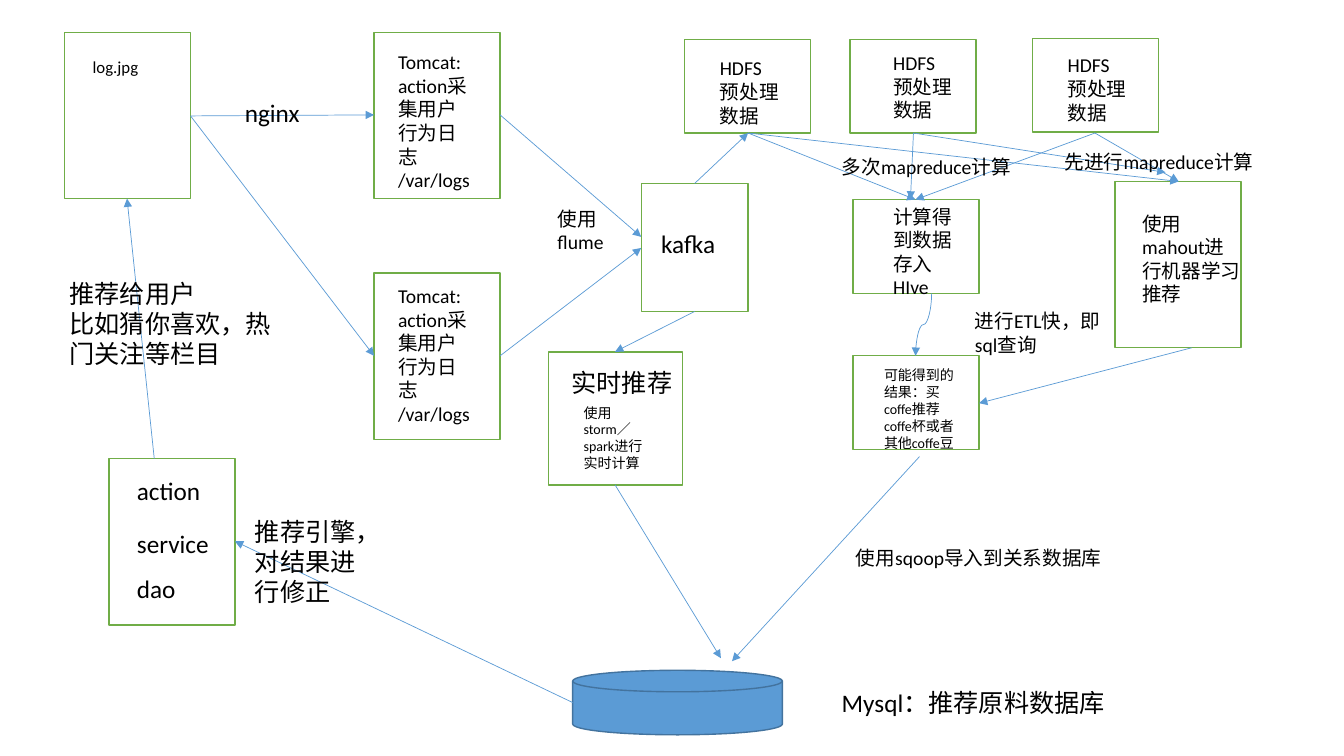
from typing import NamedTuple

from lxml import etree
from pptx import Presentation
from pptx.dml.color import RGBColor
from pptx.enum.shapes import MSO_CONNECTOR, MSO_SHAPE
from pptx.enum.text import MSO_AUTO_SIZE
from pptx.oxml.ns import qn
from pptx.util import Inches, Pt

RECT = MSO_SHAPE.RECTANGLE
DISK = MSO_SHAPE.FLOWCHART_MAGNETIC_DISK
STRAIGHT = MSO_CONNECTOR.STRAIGHT
CURVE = MSO_CONNECTOR.CURVE
FIT_SHAPE = MSO_AUTO_SIZE.SHAPE_TO_FIT_TEXT

WHITE, BLACK, GREEN, BLUE, DARK_BLUE = "FFFFFF", "000000", "70AD47", "5B9BD5", "43739E"
FONT = "Calibri"


class Box(NamedTuple):
    x: float
    y: float
    w: float = 1.25
    h: float = 1.65
    fill: str = WHITE
    line: str = GREEN
    shape: int = RECT


class Label(NamedTuple):
    x: float
    y: float
    w: float
    h: float
    text: str
    size: int = 14


class Arrow(NamedTuple):
    x1: float
    y1: float
    x2: float
    y2: float
    kind: int = STRAIGHT
    rotation: int = 0


TOMCAT = "Tomcat:\naction采集用户行为日志\n/var/logs"
HDFS = "HDFS\n预处理数据"
HDFS_H = 0.93

BOXES = [
    Box(0.64, 0.32),
    Box(3.71, 0.32),
    Box(3.71, 2.71),
    Box(6.79, 0.39, h=HDFS_H),
    Box(8.43, 0.39, h=HDFS_H),
    Box(10.24, 0.38, h=HDFS_H),
    Box(8.46, 1.98, h=HDFS_H),
    Box(8.46, 3.53, h=HDFS_H),
    Box(5.44, 3.49, 1.33, 1.32),
    Box(1.08, 4.55),
    Box(11.06, 1.8),
    Box(6.36, 1.82, 1.06, 1.27),
    Box(5.68, 6.65, 2.08, 0.64, BLUE, DARK_BLUE, DISK),
]

LABELS = [
    Label(0.82, 0.51, 0.89, 0.3, "log.jpg", 12),
    Label(3.85, 0.45, 0.97, 1.51, TOMCAT),
    Label(3.85, 2.77, 0.97, 1.51, TOMCAT),
    Label(2.33, 0.92, 0.93, 0.4, "nginx", 18),
    Label(5.43, 2, 0.82, 0.57, "使用flume"),
    Label(7.04, 0.51, 0.81, 0.81, HDFS),
    Label(8.76, 0.46, 0.81, 0.81, HDFS),
    Label(10.49, 0.48, 0.81, 0.81, HDFS),
    Label(8.76, 1.98, 0.81, 1.04, "计算得到数据存入HIve"),
    Label(8.25, 1.49, 1.99, 0.34, "多次mapreduce计算"),
    Label(8.67, 3.59, 0.9, 0.94, "可能得到的结果：买coffe推荐coffe杯或者其他coffe豆", 10),
    Label(9.57, 3.02, 1.49, 0.57, "进行ETL快，即sql查询"),
    Label(8.25, 6.77, 3.04, 0.4, "Mysql：推荐原料数据库", 18),
    Label(8.39, 5.37, 3.17, 0.34, "使用sqoop导入到关系数据库"),
    Label(5.69, 3.96, 0.79, 0.77, "使用storm／spark进行实时计算", 10),
    Label(5.57, 3.59, 1.37, 0.4, "实时推荐", 18),
    Label(1.26, 4.67, 1.07, 0.4, "action", 18),
    Label(1.26, 5.19, 1.07, 0.4, "service", 18),
    Label(1.26, 5.64, 1.07, 0.4, "dao", 18),
    Label(2.43, 5.07, 1.28, 1.01, "推荐引擎，对结果进行修正", 18),
    Label(0.59, 2.71, 2.26, 1.01, "推荐给用户\n比如猜你喜欢，热门关注等栏目", 18),
    Label(11.23, 2.05, 1.18, 1.04, "使用mahout进行机器学习推荐"),
    Label(10.46, 1.44, 2.19, 0.34, "先进行mapreduce计算"),
    Label(6.46, 2.22, 0.86, 0.4, "kafka", 18),
]

ARROWS = [
    Arrow(1.89, 1.15, 3.71, 1.14),
    Arrow(1.89, 1.15, 3.71, 3.53),
    Arrow(4.96, 1.14, 6.36, 2.35),
    Arrow(4.96, 3.53, 6.36, 2.46),
    Arrow(6.89, 1.82, 7.42, 1.32),
    Arrow(6.89, 3.09, 6.1, 3.49),
    Arrow(7.42, 1.32, 9.08, 1.98),
    Arrow(9.06, 1.32, 9.03, 1.98),
    Arrow(10.86, 1.32, 9.08, 1.98),
    Arrow(7.42, 1.32, 11.69, 1.8),
    Arrow(9.06, 1.32, 11.56, 1.71),
    Arrow(10.86, 1.32, 11.69, 1.8),
    Arrow(8.85, 3.14, 9.47, 3.3, CURVE, 90),
    Arrow(11.82, 3.45, 9.71, 4),
    Arrow(9.12, 4.53, 7.26, 6.56),
    Arrow(6.1, 4.81, 7.15, 6.53),
    Arrow(5.68, 6.97, 2.33, 5.37),
    Arrow(1.53, 4.55, 1.26, 1.97),
]


def rgb(color: str) -> RGBColor:
    return RGBColor.from_string(color)


def add_box(slide, box: Box) -> None:
    sp = slide.shapes.add_shape(
        box.shape, Inches(box.x), Inches(box.y), Inches(box.w), Inches(box.h))
    sp.shadow.inherit = False
    sp.fill.solid()
    sp.fill.fore_color.rgb = rgb(box.fill)
    sp.line.color.rgb = rgb(box.line)
    sp.line.width = Pt(1)


def write_text(tf, text: str, *, size: int, color: str = BLACK, font: str = FONT) -> None:
    """Fill a text frame, one paragraph for each line of text."""
    tf.text = text
    for p in tf.paragraphs:
        for r in p.runs:
            r.font.name = font
            r.font.size = Pt(size)
            r.font.color.rgb = rgb(color)


def add_label(slide, label: Label) -> None:
    sp = slide.shapes.add_textbox(
        Inches(label.x), Inches(label.y), Inches(label.w), Inches(label.h))
    tf = sp.text_frame
    tf.word_wrap = True
    tf.auto_size = FIT_SHAPE
    write_text(tf, label.text, size=label.size)


def add_arrow(slide, arrow: Arrow) -> None:
    cxn = slide.shapes.add_connector(
        arrow.kind, Inches(arrow.x1), Inches(arrow.y1), Inches(arrow.x2), Inches(arrow.y2))
    cxn.line.color.rgb = rgb(BLUE)
    cxn.line.width = Pt(0.5)
    etree.SubElement(cxn.line._get_or_add_ln(), qn("a:tailEnd"), type="triangle")
    sp_pr = cxn._element.spPr
    etree.SubElement(sp_pr, qn("a:effectLst"))
    if arrow.rotation:
        sp_pr.find(qn("a:xfrm")).set("rot", str(arrow.rotation * 60000))


def main() -> None:
    prs = Presentation()
    prs.slide_width, prs.slide_height = Inches(13.33), Inches(7.5)
    slide = prs.slides.add_slide(prs.slide_layouts.get_by_name("Blank"))
    for box in BOXES:
        add_box(slide, box)
    for arrow in ARROWS:
        add_arrow(slide, arrow)
    for label in LABELS:
        add_label(slide, label)
    prs.save("out.pptx")


if __name__ == "__main__":
    main()
